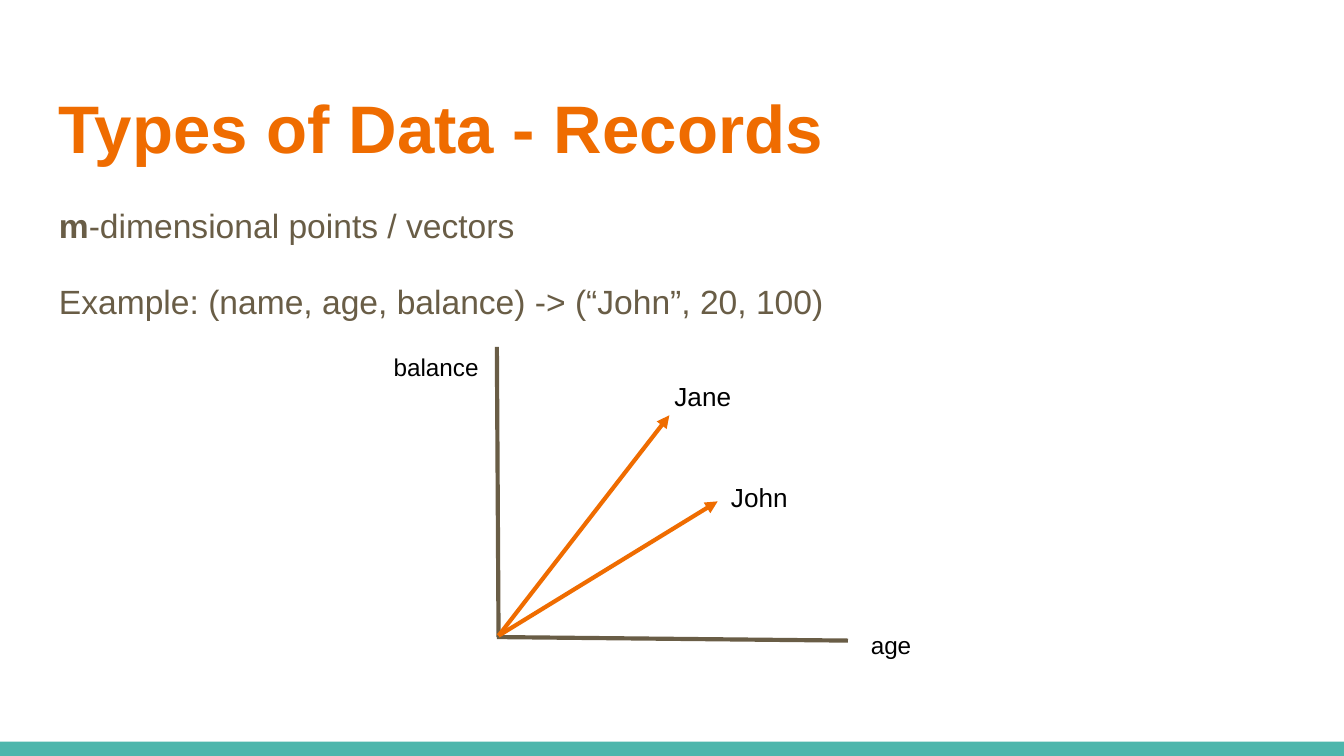
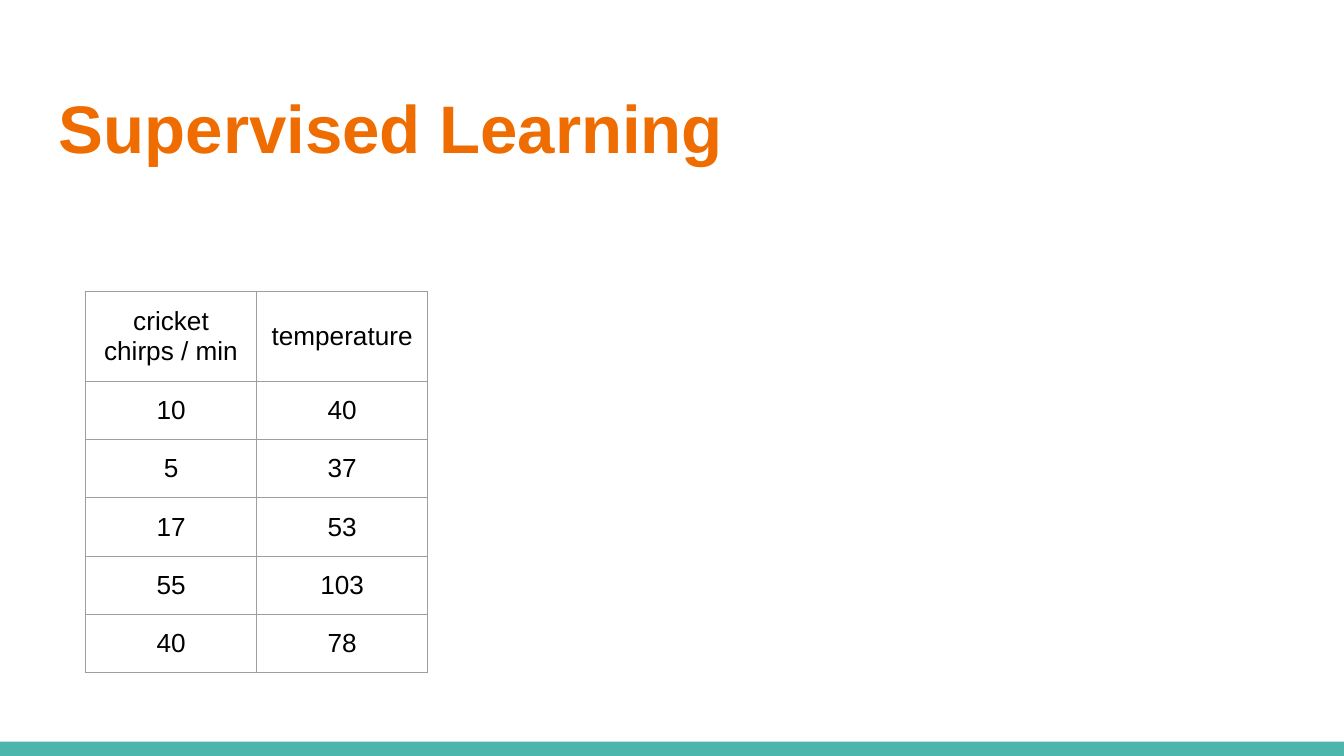
from lxml import etree
from pptx import Presentation
from pptx import util as u
from pptx.dml import color as col
from pptx.enum import shapes, text
from pptx.oxml import ns

Pt = u.Pt
WIDE, HIGH = 720, 405
LEFT, SPAN = 24.5, 671
PAD = 7.2
FONT = "Arial"
COLORS = {"title": "EF6C00", "body": "695D46", "band": "4DB6AC",
          "ink": "000000", "paper": "FFFFFF", "grid": "9E9E9E"}


def rgb(name):
    return col.RGBColor.from_string(COLORS[name])


def sub(node, tag, **attrs):
    return etree.SubElement(node, ns.qn(tag), **attrs)


class Deck:
    def __init__(self):
        self.prs = Presentation()
        self.prs.slide_width, self.prs.slide_height = Pt(WIDE), Pt(HIGH)
        self.slide = None

    def page(self, title):
        """Start a slide with its footer band and title."""
        self.slide = self.prs.slides.add_slide(self.prs.slide_layouts[6])
        self.rect((0, 397.4, WIDE, 7.6), "band")
        self.text((LEFT, 35.3, SPAN, 55.4), [title], 36, "title",
                  bold=True, top=11)

    def rect(self, box, fill):
        rect = self.slide.shapes.add_shape(
            shapes.MSO_SHAPE.RECTANGLE, *map(Pt, box))
        rect.shadow.inherit = False
        rect.fill.solid()
        rect.fill.fore_color.rgb = rgb(fill)
        rect.line.fill.background()
        return rect

    def style(self, para, size, color, bold=False):
        font = para.font
        font.name, font.size, font.bold = FONT, Pt(size), bold
        font.color.rgb = rgb(color)

    def text(self, box, lines, size, color="ink", bold=False, top=PAD,
             gap=0, lead=None, shape=None):
        """Write lines; parts between ** marks are bold."""
        shape = shape or self.slide.shapes.add_textbox(*map(Pt, box))
        frame = shape.text_frame
        frame.word_wrap = True
        frame.vertical_anchor = text.MSO_ANCHOR.TOP
        frame.margin_left = frame.margin_right = Pt(PAD)
        frame.margin_top, frame.margin_bottom = Pt(top), Pt(PAD)
        for i, line in enumerate(lines):
            para = frame.add_paragraph() if i else frame.paragraphs[0]
            para.alignment = text.PP_ALIGN.LEFT
            if lead:
                para.line_spacing = lead
            if i and gap:
                para.space_before = para.space_after = Pt(gap)
            self.style(para, size, color, bold)
            for j, part in enumerate(line.split("**")):
                if part:
                    run = para.add_run()
                    run.text = part
                    if j % 2:
                        run.font.bold = True

    def line(self, start, end, color, arrow=False):
        line = self.slide.shapes.add_connector(
            shapes.MSO_CONNECTOR.STRAIGHT, *map(Pt, start + end))
        line.line.color.rgb = rgb(color)
        line.line.width = Pt(2.25)
        if arrow:
            sub(line.line._get_or_add_ln(), "a:tailEnd", type="triangle")
        sub(line._element.spPr, "a:effectLst")

    def border(self, cell):
        props = cell._tc.get_or_add_tcPr()
        for side in "LRTB":
            edge = sub(props, "a:ln" + side, w=str(Pt(0.75)))
            fill = sub(edge, "a:solidFill")
            sub(fill, "a:srgbClr", val=COLORS["grid"])

    def table(self, left, top, rows, wide, high):
        count = len(rows[0])
        table = self.slide.shapes.add_table(
            len(rows), count, Pt(left), Pt(top),
            Pt(wide * count), Pt(high * len(rows))).table
        table.first_row = table.horz_banding = False
        for column in table.columns:
            column.width = Pt(wide)
        for r, row in enumerate(rows):
            for c, value in enumerate(row):
                cell = table.cell(r, c)
                cell.text = str(value)
                cell.vertical_anchor = text.MSO_ANCHOR.MIDDLE
                cell.margin_left = cell.margin_right = Pt(PAD)
                cell.margin_top = cell.margin_bottom = Pt(PAD)
                para = cell.text_frame.paragraphs[0]
                para.alignment = text.PP_ALIGN.CENTER
                self.style(para, 14, "ink")
                self.border(cell)
                cell.fill.background()


def records(deck):
    deck.page("Types of Data - Records")
    deck.text((LEFT, 99.4, SPAN, 81.4), [
        "**m**-dimensional points / vectors",
        "Example: (name, age, balance) -> (“John”, 20, 100)",
    ], 18, "body", gap=16, lead=1.15)

    deck.line((266.2, 185.8), (267.1, 341.3), "body")
    deck.line((266.2, 341.3), (454.3, 343.2), "body")
    deck.text((203.8, 181.4, 71.3, 31), ["balance"], 13)
    box = (459.4, 330.5, 56.9, 49.7)
    deck.text(box, ["age"], 13, shape=deck.rect(box, "paper"))

    for tip in ((384.5, 268.6), (358.6, 222.5)):
        deck.line((267.1, 340.6), tip, "title", arrow=True)
    for name, left, top in (("Jane", 354.2, 196.6), ("John", 384.5, 250.6)):
        deck.text((left, top, 71.3, 25.2), [name], 14)


def learning(deck):
    deck.page("Supervised Learning")
    deck.table(45.8, 156.2, [
        ("cricket chirps / min", "temperature"),
        (10, 40), (5, 37), (17, 53), (55, 103), (40, 78),
    ], 91.7, 30)


def main():
    deck = Deck()
    records(deck)
    learning(deck)
    deck.prs.save("out.pptx")


if __name__ == "__main__":
    main()
